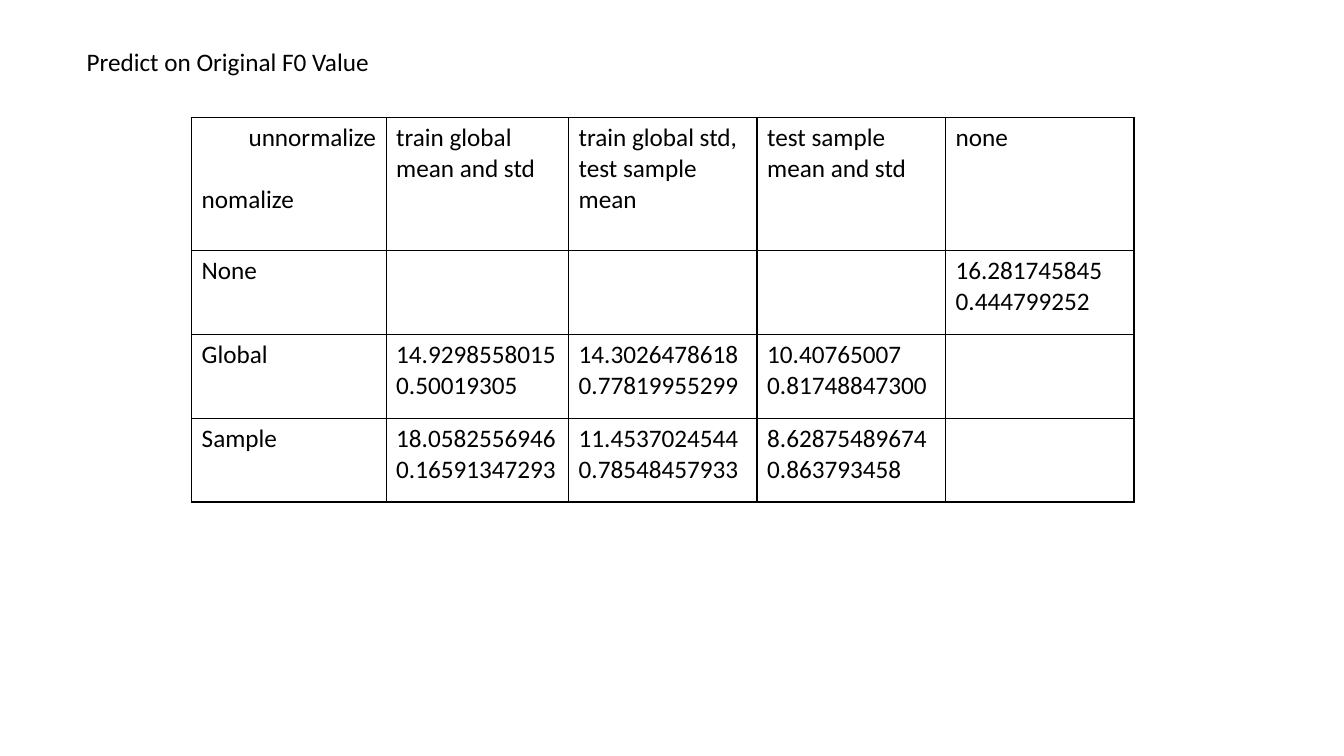
"""Build a slide with a table of F0 prediction scores by normalization scheme."""
from dataclasses import dataclass

from lxml import etree
from pptx import Presentation
from pptx.dml.color import RGBColor
from pptx.enum.text import MSO_ANCHOR, MSO_AUTO_SIZE, PP_ALIGN
from pptx.oxml.ns import qn
from pptx.util import Cm, Pt

LEFT, RIGHT = PP_ALIGN.LEFT, PP_ALIGN.RIGHT
TOP = MSO_ANCHOR.TOP
FIT_SHAPE = MSO_AUTO_SIZE.SHAPE_TO_FIT_TEXT
COLOURS = {"ink": "000000"}
FONT, FONT_SIZE = "Calibri", Pt(18)
BORDER_WIDTH = Pt(1)
TITLE_ONLY = 5
COLUMN_WIDTHS = (4.9, 4.6, 4.75, 4.75, 4.75)
ROW_HEIGHTS = (3.35, 2.11, 2.11, 2.11)


@dataclass(frozen=True)
class Line:
    """One paragraph of a cell."""
    text: str
    align: PP_ALIGN = LEFT
    space_before: float = 0


@dataclass(frozen=True)
class Entry:
    """The paragraphs of one table cell."""
    lines: tuple[Line, ...] = ()


def entry(*texts: str) -> Entry:
    """Return an entry with one plain line per text."""
    return Entry(tuple(Line(text) for text in texts))


CORNER = Entry((Line("unnormalize", RIGHT), Line("nomalize", space_before=22)))
SCORES = (
    (CORNER, entry("train global mean and std"),
     entry("train global std,", "test sample mean"),
     entry("test sample mean and std"), entry("none")),
    (entry("None"), entry(), entry(), entry(),
     entry("16.281745845", "0.444799252")),
    (entry("Global"), entry("14.9298558015", "0.50019305"),
     entry("14.3026478618", "0.77819955299"),
     entry("10.40765007", "0.81748847300"), entry()),
    (entry("Sample"), entry("18.0582556946", "0.16591347293"),
     entry("11.4537024544", "0.78548457933"),
     entry("8.62875489674", "0.863793458"), entry()),
)


def write_lines(frame, lines: tuple[Line, ...]) -> None:
    """Write lines into a text frame, one paragraph each."""
    for index, line in enumerate(lines):
        paragraph = frame.add_paragraph() if index else frame.paragraphs[0]
        paragraph.alignment = line.align
        paragraph.space_before = Pt(line.space_before)
        run = paragraph.add_run()
        run.text = line.text
        run.font.name, run.font.size, run.font.bold = FONT, FONT_SIZE, False
        run.font.color.rgb = RGBColor.from_string(COLOURS["ink"])


def add_borders(cell) -> None:
    """Draw a solid line on all four sides of a cell."""
    properties = cell._tc.get_or_add_tcPr()
    for index, side in enumerate(("a:lnL", "a:lnR", "a:lnT", "a:lnB")):
        border = etree.Element(qn(side), w=str(BORDER_WIDTH))
        fill = etree.SubElement(border, qn("a:solidFill"))
        etree.SubElement(fill, qn("a:srgbClr"), val=COLOURS["ink"])
        properties.insert(index, border)


def add_title(slide) -> None:
    """Place and write the slide title."""
    title = slide.shapes.title
    title.left, title.top, title.width, title.height = (
        Cm(1.93), Cm(1.04), Cm(7.92), Cm(1.02))
    frame = title.text_frame
    frame.word_wrap = False
    frame.auto_size = FIT_SHAPE
    frame.vertical_anchor = TOP
    write_lines(frame, (Line("Predict on Original F0 Value"),))


def add_score_table(slide) -> None:
    """Add the bordered table of scores."""
    table = slide.shapes.add_table(
        len(ROW_HEIGHTS), len(COLUMN_WIDTHS), Cm(4.83), Cm(2.97),
        Cm(sum(COLUMN_WIDTHS)), Cm(sum(ROW_HEIGHTS))).table
    table.first_row = table.horz_banding = False
    for column, width in zip(table.columns, COLUMN_WIDTHS):
        column.width = Cm(width)
    for row, height, entries in zip(table.rows, ROW_HEIGHTS, SCORES):
        row.height = Cm(height)
        for cell, content in zip(row.cells, entries):
            cell.fill.background()
            add_borders(cell)
            write_lines(cell.text_frame, content.lines)


def main() -> None:
    """Build and save the presentation."""
    presentation = Presentation()
    presentation.slide_width, presentation.slide_height = Cm(33.87), Cm(19.05)
    slide = presentation.slides.add_slide(
        presentation.slide_layouts[TITLE_ONLY])
    add_title(slide)
    add_score_table(slide)
    presentation.save("out.pptx")


if __name__ == "__main__":
    main()
